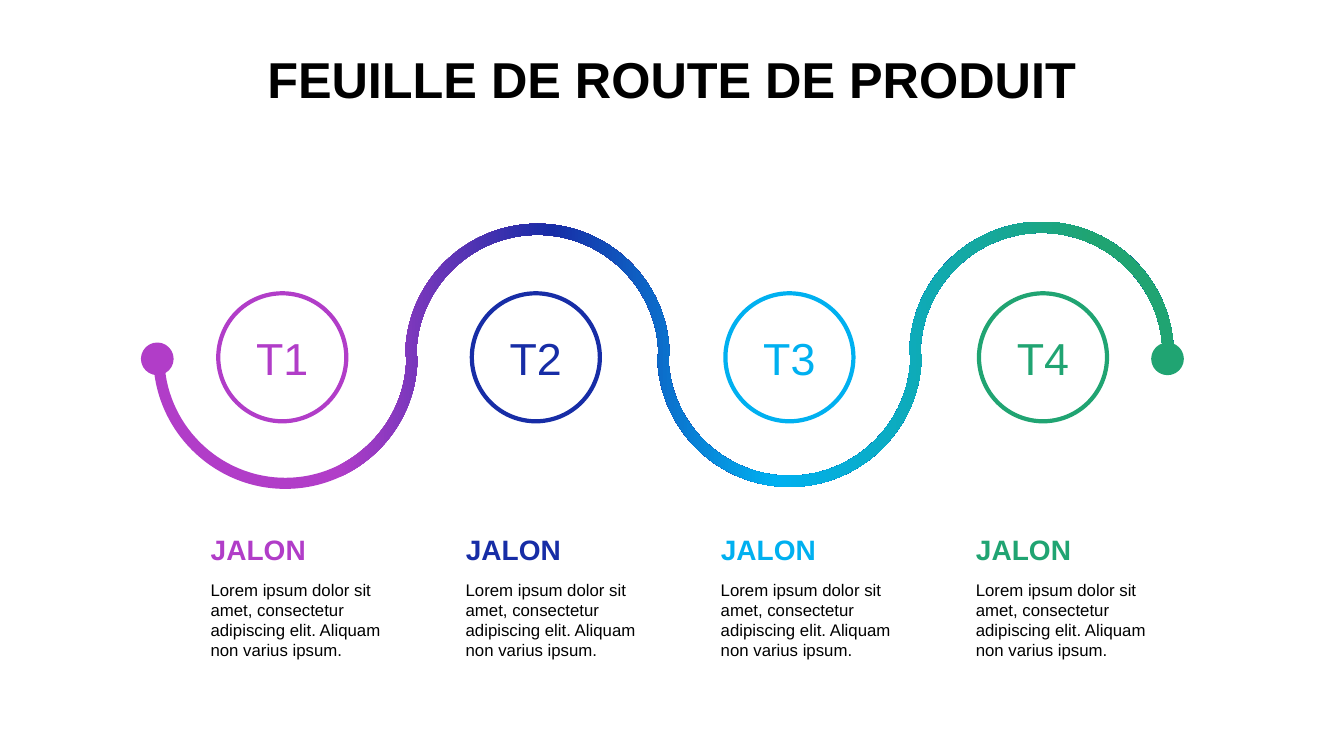
from lxml import etree
from pptx import Presentation
from pptx.dml.color import RGBColor
from pptx.enum.shapes import MSO_SHAPE as Shape
from pptx.enum.text import MSO_ANCHOR as Anchor, MSO_AUTO_SIZE as AutoSize, PP_ALIGN as Align
from pptx.oxml import parse_xml
from pptx.oxml.ns import nsdecls, qn
from pptx.util import Inches, Pt

MILESTONES = [("T1", "B13DC8"), ("T2", "172DA6"), ("T3", "00B0F0"), ("T4", "20A472")]
GRADIENT_STOPS = [18, 39, 61, 92]
DESCRIPTION = ("Lorem ipsum dolor sit amet, consectetur adipiscing elit. "
               "Aliquam non varius ipsum.")
# Unit half circle as two cubic curves: a start and two groups of three points.
HALF_CIRCLE = [(-1, 0), (-1, 0.55), (-0.55, 1), (0, 1), (0.55, 1), (1, 0.55), (1, 0)]


def rgb(hex_colour):
    return RGBColor.from_string(hex_colour)


def write(shape, text, size, colour, bold=False, align=Align.LEFT,
          anchor=Anchor.TOP, line_spacing=None):
    frame = shape.text_frame
    frame.word_wrap = True
    frame.auto_size = AutoSize.NONE
    frame.vertical_anchor = anchor
    paragraph = frame.paragraphs[0]
    paragraph.text = text
    properties = paragraph._p.get_or_add_pPr()
    properties.set("marL", "0")
    properties.set("indent", "0")
    etree.SubElement(properties, qn("a:buNone"))
    paragraph.alignment = align
    paragraph.space_before = Pt(0)
    if line_spacing:
        paragraph.line_spacing = line_spacing
    font = paragraph.runs[0].font
    font.name, font.size, font.bold = "Arial", Pt(size), bold
    font.color.rgb = rgb(colour)


def wave_side(lower):
    """Curve points from left to right along one edge of the wave."""
    points = []
    for i in range(len(MILESTONES)):
        dips = i % 2 == 0
        radius = 1.31 if dips == lower else 1.2
        direction = 1 if dips else -1
        points += [(Inches(2.83 + 2.5 * i + radius * x),
                    Inches(3.54 - 0.01 * i + direction * radius * y))
                   for x, y in HALF_CIRCLE]
    return points


def curve_segments(freeform):
    """Turn each group of three lines of a half circle into one cubic curve."""
    outline = next(freeform._element.iter(qn("a:path")))
    segments = list(outline)[:-1]
    for arc_start in range(0, len(segments), len(HALF_CIRCLE)):
        for first in (arc_start + 1, arc_start + 4):
            group = segments[first:first + 3]
            curve = etree.Element(qn("a:cubicBezTo"))
            group[0].addprevious(curve)
            for line in group:
                curve.append(line[0])
                outline.remove(line)


class Roadmap:
    def __init__(self, presentation):
        self.slide = presentation.slides.add_slide(presentation.slide_layouts[4])
        self.shapes = self.slide.shapes
        self.headings = [p for p in self.slide.placeholders
                         if p.placeholder_format.idx > 0]

    def place(self, shape, left, top, width, height):
        shape.left, shape.top = Inches(left), Inches(top)
        shape.width, shape.height = Inches(width), Inches(height)

    def title(self, text):
        self.place(self.shapes.title, 0.25, 0.5, 12.83, 0.69)
        write(self.shapes.title, text, 36, "000000", bold=True,
              align=Align.CENTER, line_spacing=0.9)

    def circle(self, left, top, diameter, fill, outline, weight):
        circle = self.shapes.add_shape(Shape.OVAL, Inches(left), Inches(top),
                                       Inches(diameter), Inches(diameter))
        circle.shadow.inherit = False
        circle.fill.solid()
        circle.fill.fore_color.rgb = rgb(fill)
        circle.line.color.rgb = rgb(outline)
        circle.line.width = Pt(weight)
        return circle

    def wave(self):
        start, *rest = wave_side(lower=True) + wave_side(lower=False)[::-1]
        builder = self.shapes.build_freeform(*start)
        builder.add_line_segments(rest, close=True)
        wave = builder.convert_to_shape()
        curve_segments(wave)
        wave.shadow.inherit = False
        wave.line.fill.background()
        stops = "".join(
            f'<a:gs pos="{position * 1000}"><a:srgbClr val="{colour}"/></a:gs>'
            for position, (_, colour) in zip(GRADIENT_STOPS, MILESTONES))
        gradient = parse_xml(f'<a:gradFill {nsdecls("a")}><a:gsLst>{stops}</a:gsLst>'
                             '<a:lin ang="0" scaled="0"/></a:gradFill>')
        wave._element.spPr.find(qn("a:custGeom")).addnext(gradient)

    def milestone(self, index, quarter, colour):
        ring = self.circle(2.165 + 2.515 * index, 2.91, 1.27, "FFFFFF", colour, 3)
        write(ring, quarter, 32, colour, align=Align.CENTER, anchor=Anchor.MIDDLE)
        left = 1.99 + 2.53 * index
        heading = self.headings[index]
        self.place(heading, left, 5.27, 1.96, 0.33)
        write(heading, "JALON", 20, colour, bold=True, line_spacing=0.9)
        description = self.shapes.add_textbox(Inches(left), Inches(5.7),
                                              Inches(1.98), Inches(0.77))
        write(description, DESCRIPTION, 12, "000000")


def main():
    presentation = Presentation()
    presentation.slide_width, presentation.slide_height = Inches(13.33), Inches(7.5)
    roadmap = Roadmap(presentation)
    roadmap.title("FEUILLE DE ROUTE DE PRODUIT")
    for index, (quarter, colour) in enumerate(MILESTONES):
        roadmap.milestone(index, quarter, colour)
    roadmap.wave()
    for left, (_, colour) in ((1.44, MILESTONES[0]), (11.46, MILESTONES[-1])):
        roadmap.circle(left, 3.44, 0.24, colour, colour, 6)
    presentation.save("out.pptx")


if __name__ == "__main__":
    main()
